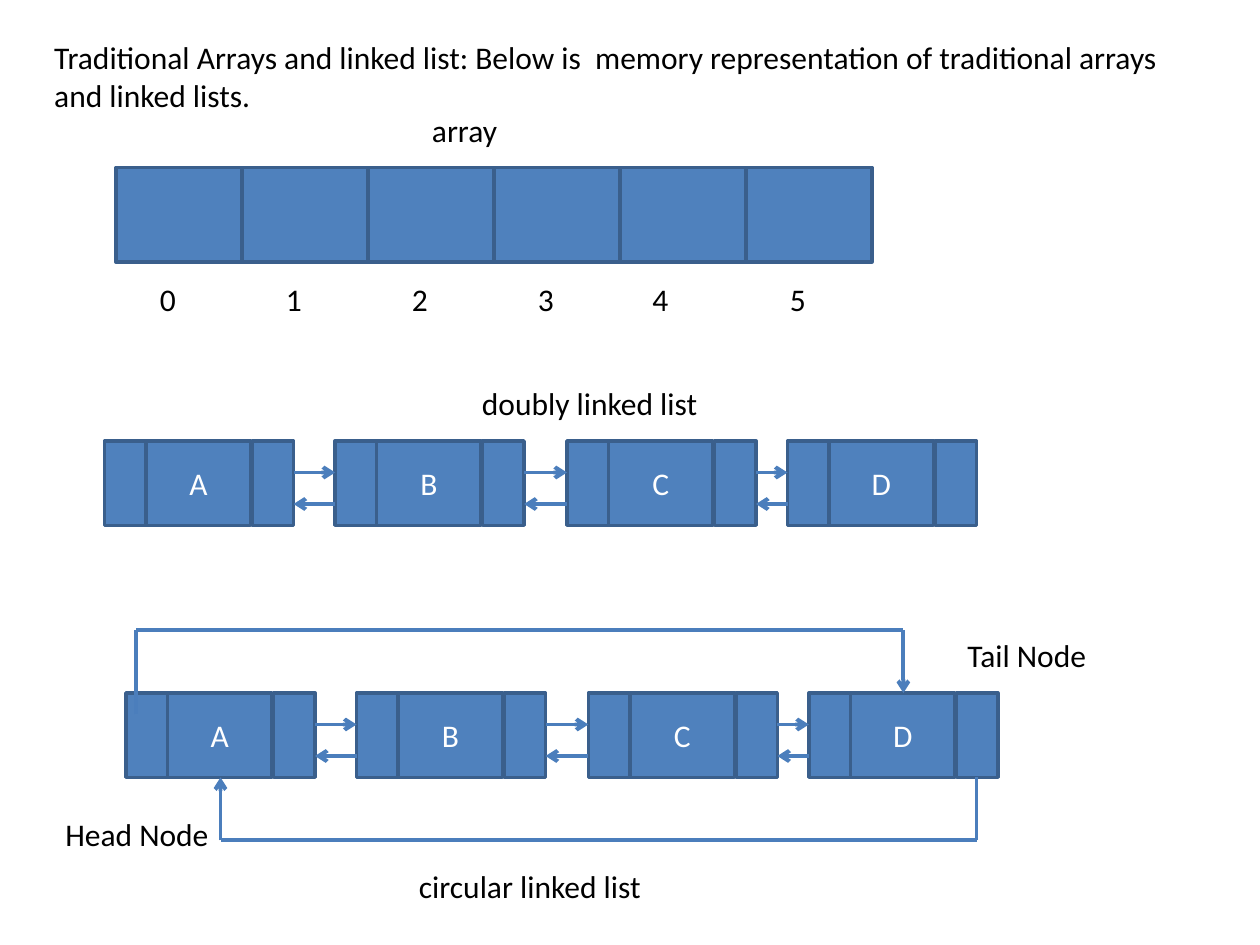
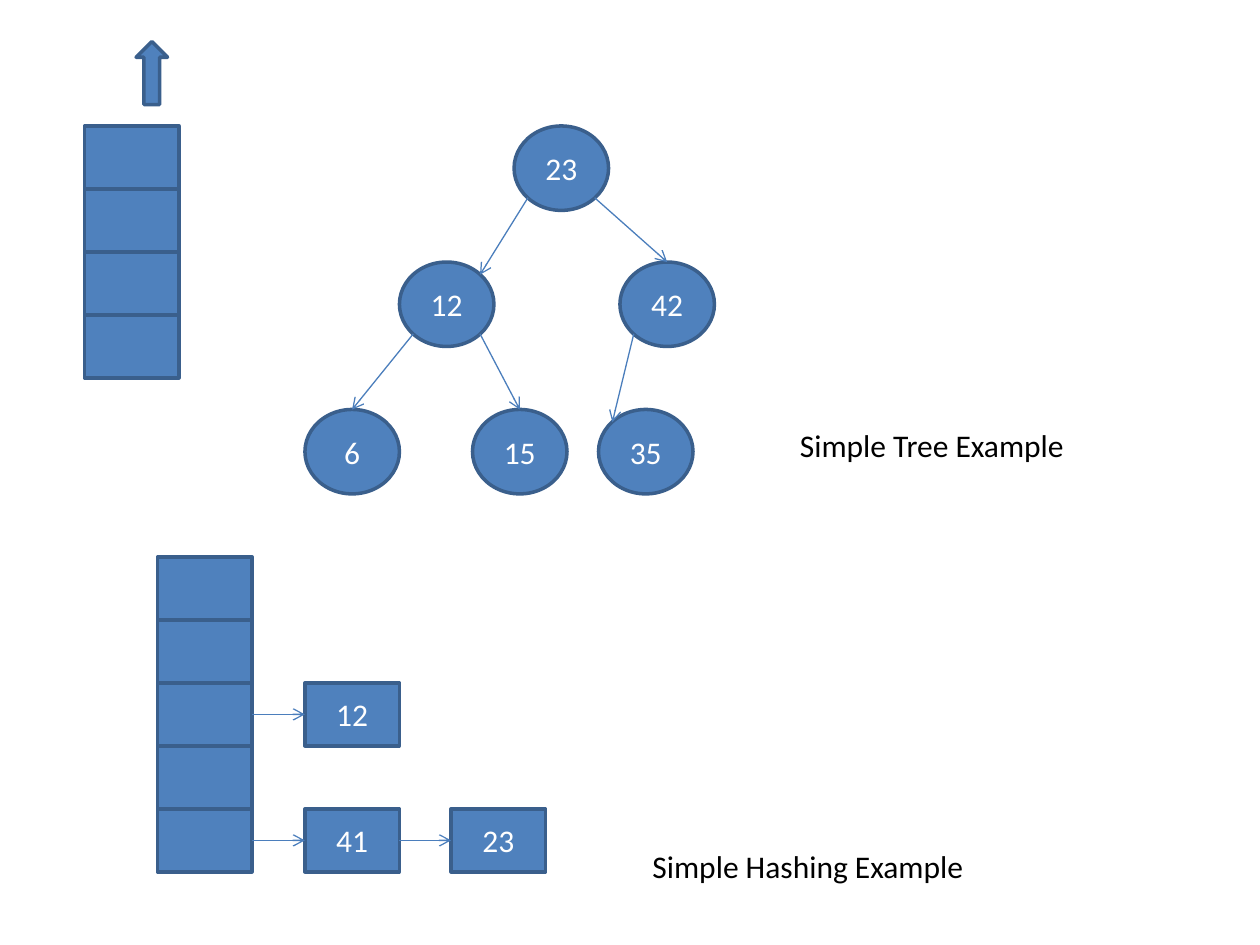
"""Build two slides on arrays, linked lists, trees and hashing."""
from pptx import Presentation
from pptx.dml.color import RGBColor
from pptx.enum.shapes import MSO_CONNECTOR, MSO_SHAPE
from pptx.enum.text import MSO_ANCHOR, MSO_AUTO_SIZE, PP_ALIGN
from pptx.oxml.ns import qn
from pptx.util import Inches, Pt
from lxml import etree

RECT, OVAL, UP_ARROW = MSO_SHAPE.RECTANGLE, MSO_SHAPE.OVAL, MSO_SHAPE.UP_ARROW
STRAIGHT = MSO_CONNECTOR.STRAIGHT
LEFT, CENTER = PP_ALIGN.LEFT, PP_ALIGN.CENTER
TOP, MIDDLE = MSO_ANCHOR.TOP, MSO_ANCHOR.MIDDLE
FIT, NO_FIT = MSO_AUTO_SIZE.SHAPE_TO_FIT_TEXT, MSO_AUTO_SIZE.NONE

BLUE = RGBColor(0x4F, 0x81, 0xBD)
EDGE = RGBColor(0x3A, 0x5F, 0x8C)
ARROW = RGBColor(0x4B, 0x7E, 0xBC)
WHITE = RGBColor(0xFF, 0xFF, 0xFF)
BLACK = RGBColor(0x00, 0x00, 0x00)

FONT = {"name": "Calibri", "size": Pt(18), "bold": False}
LABEL = {"word_wrap": True, "auto_size": FIT, "vertical_anchor": TOP}
INSIDE = {"word_wrap": True, "auto_size": NO_FIT, "vertical_anchor": MIDDLE}


def add_item(s, x, y, w, h, text="", kind=None):
    """Add a blue shape of the given kind, a label, or fill the title."""
    at = [Inches(v) for v in (x, y, w, h)]
    if kind == "title":
        sp = s.shapes.title
        sp.left, sp.top, sp.width, sp.height = at
    elif kind is None:
        sp = s.shapes.add_textbox(*at)
    else:
        sp = s.shapes.add_shape(kind, *at)
        sp.shadow.inherit = False
        sp.fill.solid()
        sp.fill.fore_color.rgb = BLUE
        sp.line.color.rgb = EDGE
        sp.line.width = Pt(2)
    is_label = kind in (None, "title")
    if not text:
        return
    tf = sp.text_frame
    for key, value in (LABEL if is_label else INSIDE).items():
        setattr(tf, key, value)
    p = tf.paragraphs[0]
    p.alignment = LEFT if is_label else CENTER
    r = p.add_run()
    r.text = text
    for key, value in FONT.items():
        setattr(r.font, key, value)
    r.font.color.rgb = BLACK if is_label else WHITE


def add_line(s, start, end, width, arrow=True):
    """Add a straight line between two points."""
    c = s.shapes.add_connector(STRAIGHT, *[Inches(v) for v in (*start, *end)])
    c.line.color.rgb = ARROW
    c.line.width = Pt(width)
    sp_pr = c._element.spPr
    if arrow:
        etree.SubElement(sp_pr.find(qn("a:ln")), qn("a:tailEnd"), type="arrow")
    etree.SubElement(sp_pr, qn("a:effectLst"))


prs = Presentation()
prs.slide_width, prs.slide_height = Inches(10), Inches(7.5)
TITLE_ONLY, BLANK = prs.slide_layouts[5], prs.slide_layouts[6]

s = prs.slides.add_slide(TITLE_ONLY)
add_item(s, 0.33, 0.25, 9, 0.71,
         "Traditional Arrays and linked list: Below is  memory representation "
         "of traditional arrays and linked lists.", "title")

for i in range(6):
    add_item(s, 0.92 + i, 1.33, 1, 0.75, kind=RECT)
for i, x in enumerate((1.17, 2.17, 3.17, 4.17, 5.08, 6.17)):
    add_item(s, x, 2.17, 0.5, 0.4, str(i))

NODE_OFFSETS = (0, 1.83, 3.67, 5.42)
NODE_WIDTH = 1.5
for list_left, list_top in ((0.83, 3.5), (1, 5.5)):
    nodes = [list_left + offset for offset in NODE_OFFSETS]
    for x, letter in zip(nodes, "ABCD"):
        for dx, w, text in ((0, 0.33, ""), (0.33, 0.83, letter), (1.17, 0.33, "")):
            add_item(s, x + dx, list_top, w, 0.67, text, RECT)
    for x, next_x in zip(nodes, nodes[1:]):
        end_x = x + NODE_WIDTH
        next_y, back_y = list_top + 0.25, list_top + 0.5
        add_line(s, (end_x, next_y), (next_x, next_y), 2.25)
        add_line(s, (next_x, back_y), (end_x, back_y), 2.25)

head_to_tail = [(1.08, 5.67), (1.08, 5), (7.17, 5), (7.17, 5.5)]
tail_to_head = [(7.75, 6.17), (7.75, 6.67), (1.75, 6.67), (1.75, 6.17)]
for route in (head_to_tail, tail_to_head):
    for start, end in zip(route, route[1:]):
        add_line(s, start, end, 2.25, arrow=end == route[-1])

for x, y, w, text in (
    (0.42, 6.42, 1.42, "Head Node"),
    (7.58, 5, 1.5, "Tail Node"),
    (3.33, 0.83, 1.5, "array"),
    (3.67, 3, 2.83, " doubly linked list"),
    (3.17, 6.83, 2.83, " circular linked list"),
):
    add_item(s, x, y, w, 0.4, text)

s = prs.slides.add_slide(BLANK)
CELL_W, CELL_H = 0.75, 0.5
tree = {"23": (4.08, 1), "12": (3.17, 2.08), "42": (4.92, 2.08),
        "6": (2.42, 3.25), "15": (3.75, 3.25), "35": (4.75, 3.25)}
ports = {"top": (0.375, 0), "top left": (0.11, 0.1), "top right": (0.64, 0.1),
         "bottom left": (0.11, 0.57), "bottom right": (0.64, 0.57)}
for value, (x, y) in tree.items():
    add_item(s, x, y, CELL_W, 0.67, value, OVAL)
for parent, out_port, child, in_port in (
    ("23", "bottom left", "12", "top right"),
    ("23", "bottom right", "42", "top"),
    ("12", "bottom left", "6", "top"),
    ("12", "bottom right", "15", "top"),
    ("42", "bottom left", "35", "top left"),
):
    start, end = [[a + b for a, b in zip(tree[node], ports[port])]
                  for node, port in ((parent, out_port), (child, in_port))]
    add_line(s, start, end, 0.75)

for x, top, count in ((0.67, 1, 4), (1.25, 4.42, 5)):
    for i in range(count):
        add_item(s, x, top + i * CELL_H, CELL_W, CELL_H, kind=RECT)
add_item(s, 1.08, 0.33, 0.25, 0.5, kind=UP_ARROW)

for y, chain in ((5.42, ["12"]), (6.42, ["41", "23"])):
    end_x, mid_y = 2, y + CELL_H / 2
    for x, value in zip((2.42, 3.58), chain):
        add_item(s, x, y, CELL_W, CELL_H, value, RECT)
        add_line(s, (end_x, mid_y), (x, mid_y), 0.75)
        end_x = x + CELL_W

add_item(s, 6.25, 3.33, 3.75, 0.4, "Simple Tree Example")
add_item(s, 5.08, 6.67, 3.75, 0.4, "Simple Hashing Example")

prs.save("out.pptx")
